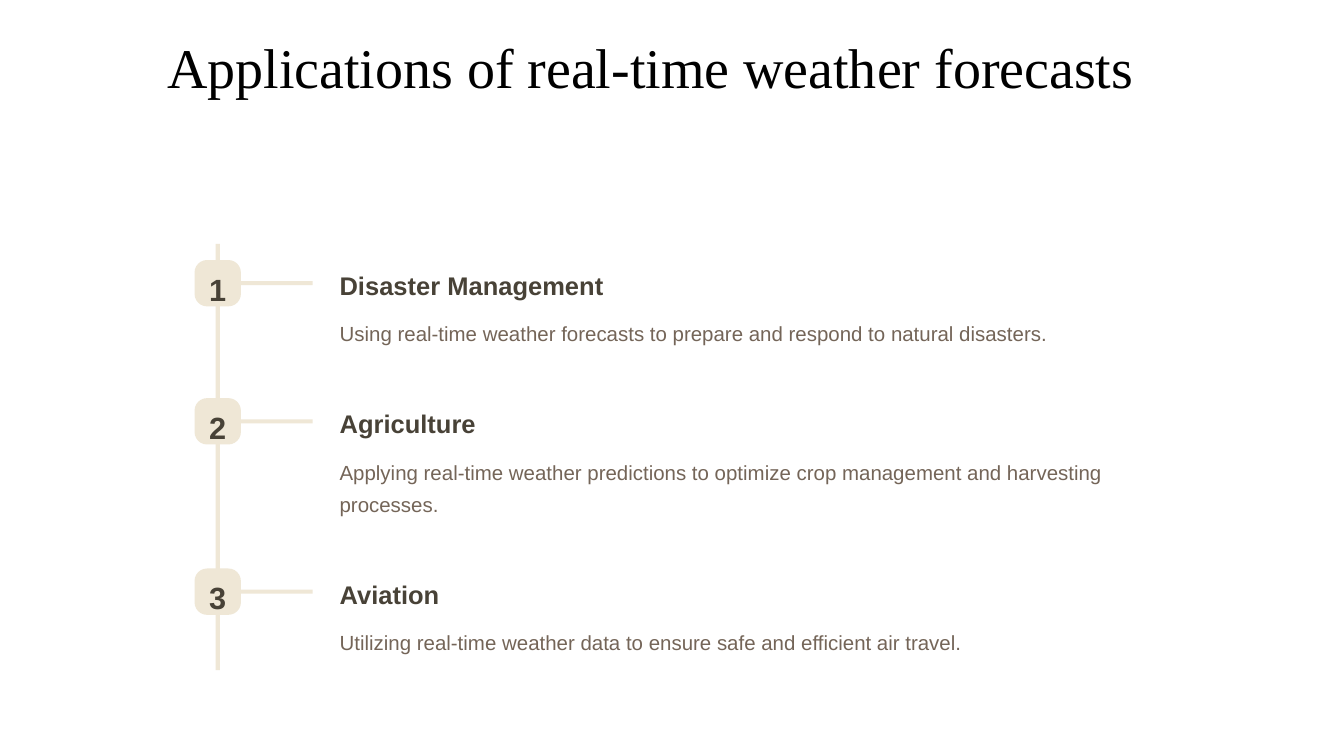
import dataclasses

import pptx
import pptx.dml.color
import pptx.enum.shapes
import pptx.enum.text
import pptx.util

RGB = pptx.dml.color.RGBColor
KIND = pptx.enum.shapes.MSO_SHAPE
ALIGN = pptx.enum.text.PP_ALIGN

BLACK = RGB(0x00, 0x00, 0x00)
SAND = RGB(0xEF, 0xE7, 0xD6)
DARK = RGB(0x48, 0x42, 0x37)
BROWN = RGB(0x74, 0x65, 0x58)

SCALE = 9144  # EMU in one px, 100 px to the inch
LINE = 4
BADGE = 46
BADGE_X = 193
TEXT_X = 327


@dataclasses.dataclass(frozen=True)
class Style:
    font: str
    size: float
    lead: float
    color: RGB
    bold: bool = False
    wrap: bool = True
    align: ALIGN = ALIGN.LEFT


@dataclasses.dataclass(frozen=True)
class Step:
    top: int
    width: int
    head: str
    body: str
    high: int = 32


TITLE = Style("Times New Roman", 40, 45.6, BLACK)
NUMBER = Style("Arial", 21.9, 27.3, DARK, True, False, ALIGN.CENTER)
HEAD = Style("Arial", 18.2, 22.8, DARK, True, False)
BODY = Style("Arial", 14.6, 23.3, BROWN)

STEPS = [
    Step(258, 273, "Disaster Management",
         "Using real-time weather forecasts to prepare and respond to "
         "natural disasters."),
    Step(395, 202, "Agriculture",
         "Applying real-time weather predictions to optimize crop "
         "management and harvesting processes.", 65),
    Step(564, 202, "Aviation",
         "Utilizing real-time weather data to ensure safe and efficient "
         "air travel."),
]


def px(count: int) -> pptx.util.Emu:
    return pptx.util.Emu(count * SCALE)


def write(shape, text: str, style: Style) -> None:
    frame = shape.text_frame
    frame.text = text
    frame.word_wrap = style.wrap
    frame.auto_size = pptx.enum.text.MSO_AUTO_SIZE.NONE
    frame.vertical_anchor = pptx.enum.text.MSO_ANCHOR.TOP
    para = frame.paragraphs[0]
    para.alignment = style.align
    para.line_spacing = pptx.util.Pt(style.lead)
    font = para.runs[0].font
    font.name = style.font
    font.size = pptx.util.Pt(style.size)
    font.bold = style.bold
    font.color.rgb = style.color


def label(slide, box: tuple[int, int, int, int], text: str,
          style: Style) -> None:
    write(slide.shapes.add_textbox(*map(px, box)), text, style)


def block(slide, kind: KIND, box: tuple[int, int, int, int]):
    """Add a plain sand shape and return it."""
    shape = slide.shapes.add_shape(kind, *map(px, box))
    shape.shadow.inherit = False
    shape.fill.solid()
    shape.fill.fore_color.rgb = SAND
    shape.line.fill.background()
    return shape


def draw(slide, index: int, step: Step) -> None:
    """Add one step of the timeline."""
    top = step.top
    block(slide, KIND.RECTANGLE, (BADGE_X + BADGE, top + 21, 71, LINE))
    badge = block(slide, KIND.ROUNDED_RECTANGLE, (BADGE_X, top, BADGE, BADGE))
    badge.adjustments[0] = 0.27
    label(slide, (BADGE_X + 14, top + 4, 18, 38), str(index), NUMBER)
    label(slide, (TEXT_X, top + 4, step.width, 32), step.head, HEAD)
    label(slide, (TEXT_X, top + 48, 820, step.high), step.body, BODY)


def main() -> None:
    deck = pptx.Presentation()
    deck.slide_width, deck.slide_height = px(1333), px(750)
    slide = deck.slides.add_slide(deck.slide_layouts.get_by_name("Title Only"))
    title = slide.shapes.title
    title.left, title.top, title.width, title.height = map(
        px, (156, 31, 1020, 127))
    write(title, "Applications of real-time weather forecasts", TITLE)
    block(slide, KIND.RECTANGLE, (214, 242, LINE, 423))
    for index, step in enumerate(STEPS, 1):
        draw(slide, index, step)
    deck.save("out.pptx")


if __name__ == "__main__":
    main()
